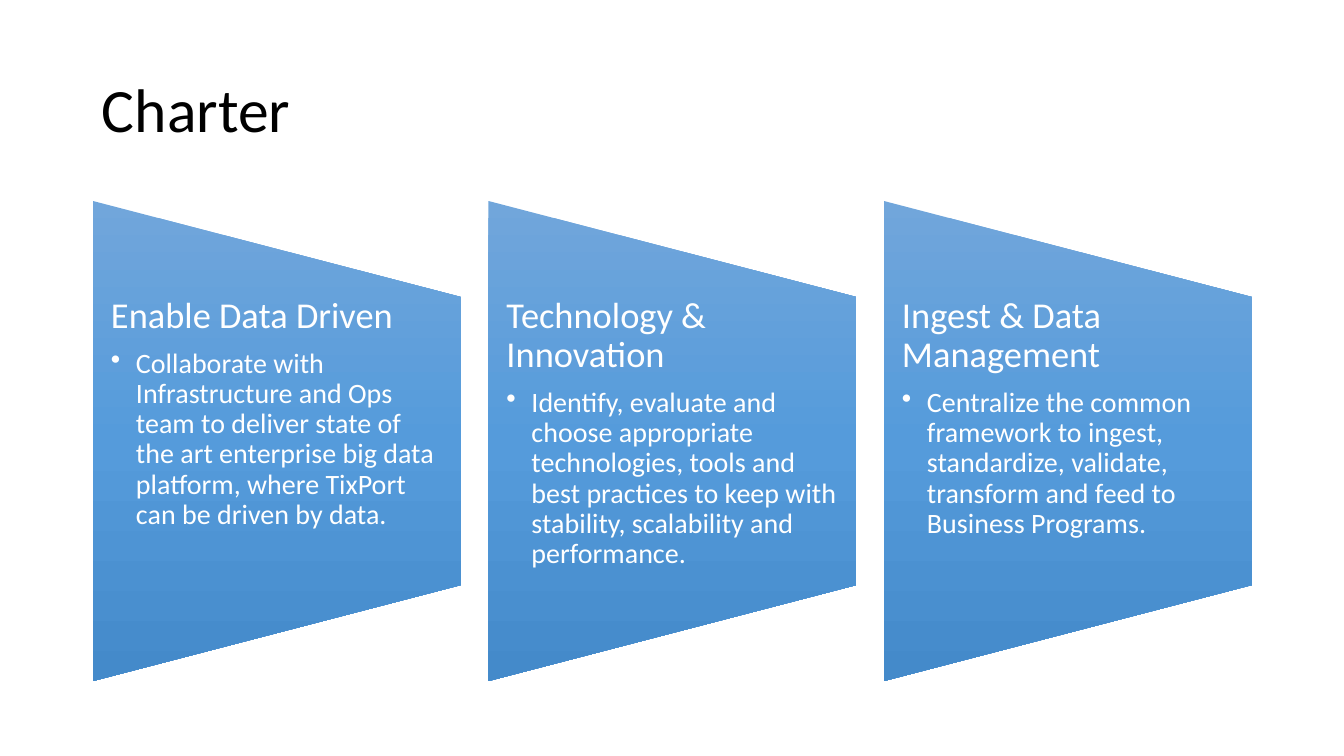
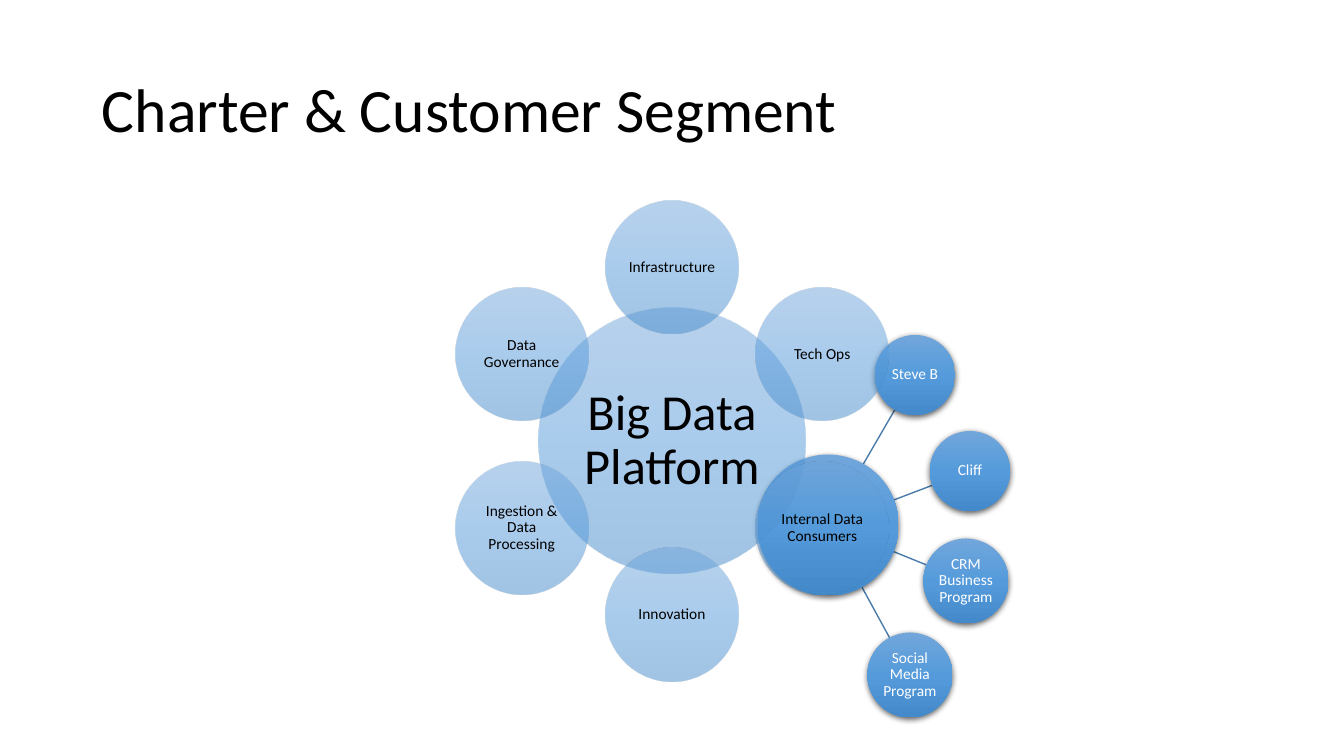
"""Two charter slides: three pillars, and a platform wheel with its consumers."""
import math

from lxml import etree
from pptx import Presentation
from pptx import util as u
from pptx.dml.color import RGBColor
from pptx.enum import shapes, text
from pptx.oxml import ns

PX = 12192000 / 1344
FONT = "Calibri"
COLORS = {
    "black": "000000",
    "white": "FFFFFF",
    "top": "71A6DB",
    "middle": "559BDB",
    "bottom": "448ACA",
    "spoke": "497CAB",
}
GRADIENT = [(0, "top"), (50, "middle"), (100, "bottom")]
TITLE_BOX = (92, 40, 1160, 146)

PILLARS = [
    ("Enable Data Driven",
     "Collaborate with Infrastructure and Ops team to deliver state of the art "
     "enterprise big data platform, where TixPort can be driven by data."),
    ("Technology & Innovation",
     "Identify, evaluate and choose appropriate technologies, tools and best "
     "practices to keep with stability, scalability and performance."),
    ("Ingest & Data Management",
     "Centralize the common framework to ingest, standardize, validate, "
     "transform and feed to Business Programs."),
]
# Clockwise from the top
PETALS = ["Infrastructure", "Tech Ops", "Internal Data Consumers", "Innovation",
          "Ingestion & Data Processing", "Data Governance"]
# Label, centre x, centre y, diameter
CONSUMERS = [
    ("Steve B", 915, 375, 80),
    ("Cliff", 970, 471, 80),
    ("CRM Business Program", 966, 581, 85),
    ("Social Media Program", 910, 675, 85),
]


def emu(*lengths):
    """Turn pixels into EMU."""
    return [u.Emu(round(n * PX)) for n in lengths]


def child(parent, tag, **attrs):
    """Append an XML element with the given attributes."""
    e = etree.SubElement(parent, ns.qn(tag))
    for name, value in attrs.items():
        e.set(name, str(value))
    return e


def set_gradient(sp, opacity=100):
    """Fill a shape with the shared vertical gradient, whatever its rotation."""
    sp.fill.background()
    grad = etree.Element(ns.qn("a:gradFill"), rotWithShape="0")
    stops = child(grad, "a:gsLst")
    for pos, name in GRADIENT:
        stop = child(stops, "a:gs", pos=pos * 1000)
        color = child(stop, "a:srgbClr", val=COLORS[name])
        if opacity < 100:
            child(color, "a:alpha", val=opacity * 1000)
    child(grad, "a:lin", ang=5400000, scaled=0)
    pr = sp.element.spPr
    pr.replace(pr.find(ns.qn("a:noFill")), grad)


def add_soft_shadow(sp):
    """Give a shape a short shadow that falls straight down."""
    effects = sp.element.spPr.find(ns.qn("a:effectLst"))
    shadow = child(effects, "a:outerShdw", blurRad=u.Pt(4.5), dist=u.Pt(1.5),
                   dir=5400000, algn="ctr", rotWithShape=0)
    child(child(shadow, "a:srgbClr", val=COLORS["black"]), "a:alpha", val=63000)


def add_solid(slide, kind, box, opacity=100):
    """Add a borderless preset shape with the shared gradient."""
    sp = slide.shapes.add_shape(kind, *emu(*box))
    sp.shadow.inherit = False
    sp.line.fill.background()
    set_gradient(sp, opacity)
    return sp


def set_frame(tf, inset, anchor):
    """Set wrapping, (side, top) insets in pixels and the anchor."""
    tf.word_wrap = True
    tf.margin_left = tf.margin_right = emu(inset[0])[0]
    tf.margin_top = tf.margin_bottom = emu(inset[1])[0]
    tf.vertical_anchor = anchor


def write(p, words, size, color, align=text.PP_ALIGN.LEFT, after=0):
    """Write one run into a paragraph."""
    p.alignment = align
    p.line_spacing = 0.9
    p.space_after = u.Pt(after)
    r = p.add_run()
    r.text = words
    r.font.name = FONT
    r.font.size = u.Pt(size)
    r.font.color.rgb = RGBColor.from_string(COLORS[color])


def add_slide(prs, title):
    """Add a blank slide with a title."""
    slide = prs.slides.add_slide(prs.slide_layouts[6])
    tf = slide.shapes.add_textbox(*emu(*TITLE_BOX)).text_frame
    set_frame(tf, (10, 5), text.MSO_ANCHOR.MIDDLE)
    write(tf.paragraphs[0], title, 44, "black")
    return slide


def add_pillar(slide, box, heading, body):
    """Add a sideways trapezoid with a heading and a bullet."""
    x, y, w, h = box
    turned = (x + (w - h) / 2, y + (h - w) / 2, h, w)
    sp = add_solid(slide, shapes.MSO_SHAPE.FLOWCHART_MANUAL_OPERATION, turned)
    sp.rotation = 270

    words = slide.shapes.add_textbox(*emu(x, y + h / 5, w, h * 3 / 5))
    tf = words.text_frame
    set_frame(tf, (18, 0), text.MSO_ANCHOR.TOP)
    write(tf.paragraphs[0], heading, 26, "white", after=9)
    p = tf.add_paragraph()
    write(p, body, 20, "white", after=3)
    pr = p._p.get_or_add_pPr()
    indent = emu(25)[0]
    pr.set("marL", str(indent))
    pr.set("indent", str(-indent))
    child(pr, "a:buChar", char="\u2022")


def add_pillars(slide, box, pillars, pitch):
    """Set pillars side by side, starting from the first one's box."""
    x, y, w, h = box
    for i, (heading, body) in enumerate(pillars):
        add_pillar(slide, (x + i * pitch, y, w, h), heading, body)


def add_circle(slide, center, size, opacity=100):
    """Add a circle around a centre."""
    x, y = center
    box = (x - size / 2, y - size / 2, size, size)
    return add_solid(slide, shapes.MSO_SHAPE.OVAL, box, opacity)


def label_circle(sp, words, size, color, inset):
    """Write a centred label in a circle."""
    tf = sp.text_frame
    set_frame(tf, (inset, inset), text.MSO_ANCHOR.MIDDLE)
    write(tf.paragraphs[0], words, size, color, text.PP_ALIGN.CENTER)


def add_spoke(slide, start, end):
    """Add a thin line between two points."""
    line = slide.shapes.add_connector(
        shapes.MSO_CONNECTOR.STRAIGHT, *emu(*start, *end))
    line.line.color.rgb = RGBColor.from_string(COLORS["spoke"])
    line.line.width = u.Pt(1)
    child(line.element.spPr, "a:effectLst")


def add_consumers(slide, hub, size, consumers):
    """Add a shaded hub with spokes to its labelled satellites."""
    x, y = hub
    for _, cx, cy, d in consumers:
        reach = math.hypot(cx - x, cy - y)
        ux, uy = (cx - x) / reach, (cy - y) / reach
        inner, outer = 0.4 * size, reach - d / 2
        add_spoke(slide, (x + ux * inner, y + uy * inner),
                  (x + ux * outer, y + uy * outer))
    add_soft_shadow(add_circle(slide, hub, size))
    for words, cx, cy, d in consumers:
        sp = add_circle(slide, (cx, cy), d)
        add_soft_shadow(sp)
        label_circle(sp, words, 11, "white", 1)


def add_wheel(slide, box, core, petals):
    """Add a translucent core ringed by petals half its size."""
    x, y, w, h = box
    cx, cy = x + w / 2, y + h / 2
    size = 266
    ring = (h - size / 2) / 2
    label_circle(add_circle(slide, (cx, cy), size, 50), core, 36, "black", 5)
    for i, words in enumerate(petals):
        angle = 2 * math.pi * i / len(petals)
        center = (cx + ring * math.sin(angle), cy - ring * math.cos(angle))
        sp = add_circle(slide, center, size / 2, 50)
        label_circle(sp, words, 11, "black", 2)


def main():
    """Build and save the slides."""
    prs = Presentation()
    prs.slide_width, prs.slide_height = emu(1344, 756)

    slide = add_slide(prs, "Charter")
    add_pillars(slide, (93, 201, 368, 480), PILLARS, 395.5)

    slide = add_slide(prs, "Charter & Customer Segment")
    add_consumers(slide, (828, 525), 141, CONSUMERS)
    add_wheel(slide, (455, 201, 434, 480), "Big Data Platform", PETALS)

    prs.save("out.pptx")


main()
